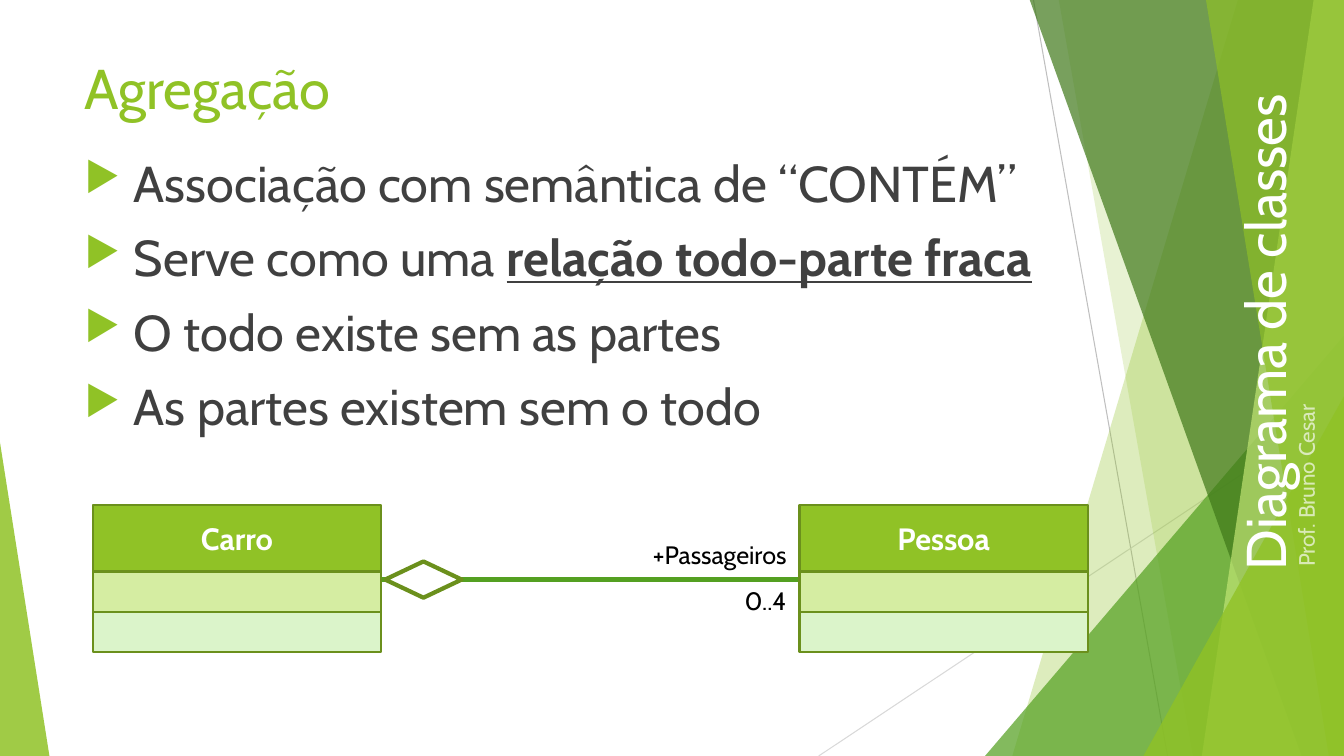
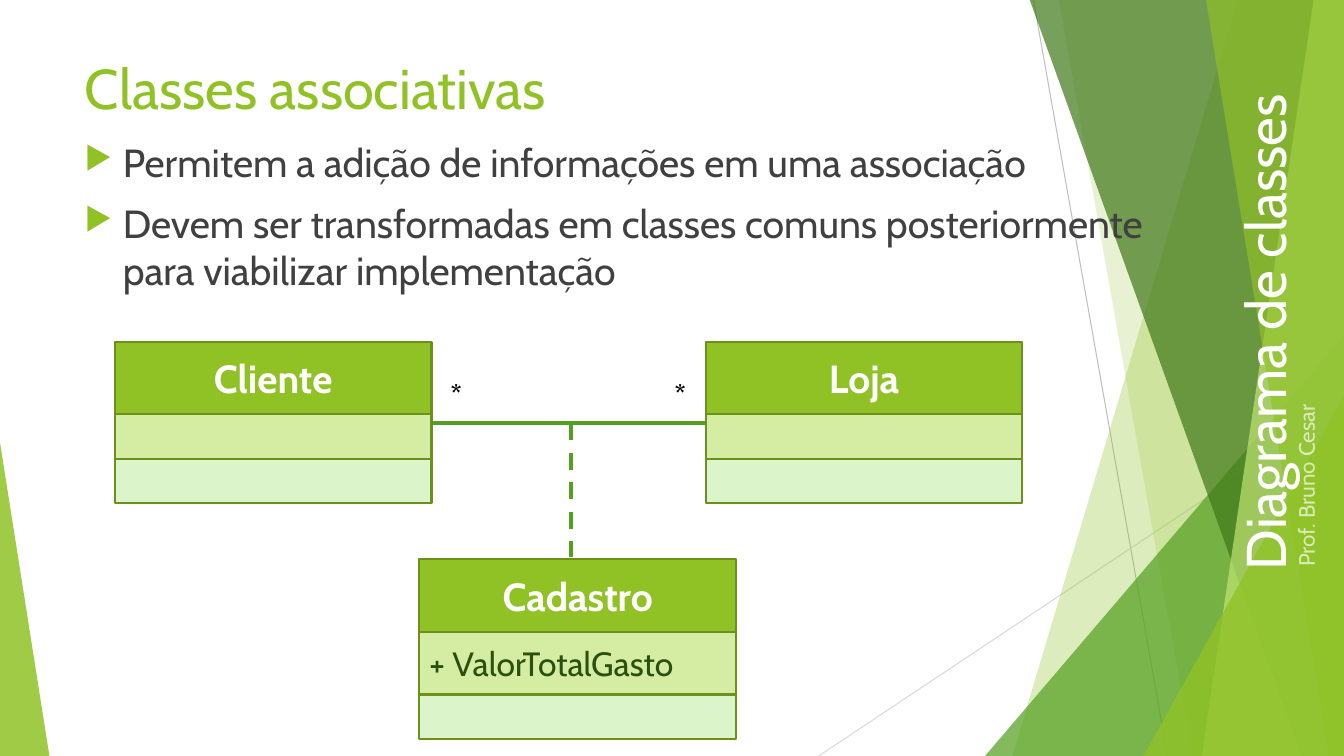
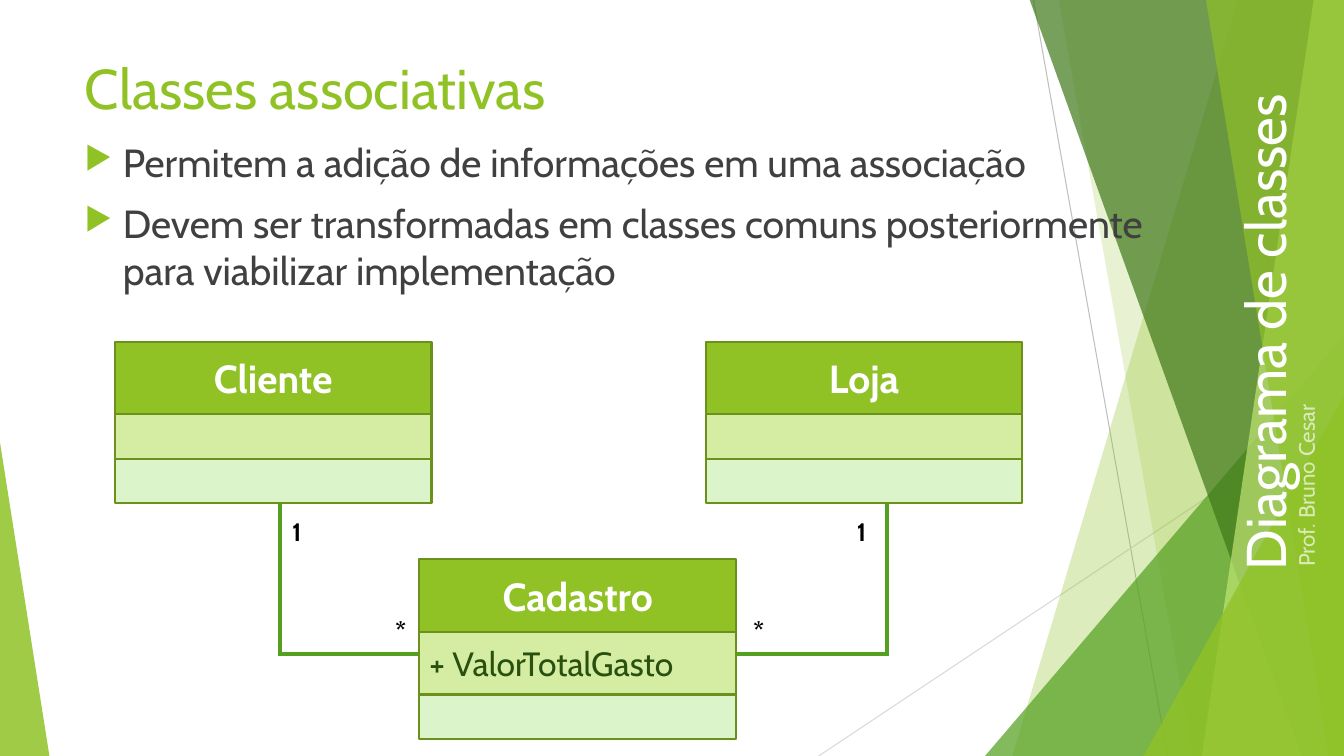
from dataclasses import dataclass

from lxml import etree
from pptx import Presentation
from pptx import util as u
from pptx.dml import color as colors
from pptx.enum import dml, shapes as kinds, text as texts
from pptx.oxml import ns

# Scale, palette and type
PX = 9144  # 100 px to the inch
WIDTH, HEIGHT = 1333, 750
FONT = "Cabin"
GREEN, DARK_GREEN, MID_GREEN = "90C226", "6B901C", "54A021"
FOREST, LIME, PALE_LIME, PALE_GREEN = "3F7819", "C0E474", "D5EDA2", "DBF4CA"
ATTRIBUTE_INK, INK, BLACK, WHITE = "2A5010", "404040", "000000", "FFFFFF"
LEFT, CENTER, RIGHT = (texts.PP_ALIGN.LEFT, texts.PP_ALIGN.CENTER,
                       texts.PP_ALIGN.RIGHT)


@dataclass(frozen=True)
class Box:
    left: int
    top: int
    width: int
    height: int

    def emu(self) -> tuple[int, ...]:
        return px(self.left, self.top, self.width, self.height)


@dataclass(frozen=True)
class Facet:
    """Band reaching the right edge, with a slanted left side."""
    top_x: int
    bottom_x: int
    color: str
    opacity: int


@dataclass(frozen=True)
class Triangle:
    box: Box
    apex: int
    color: str
    opacity: int


@dataclass(frozen=True)
class Line:
    start: tuple[int, int]
    end: tuple[int, int]
    color: str = MID_GREEN
    weight: float = 3
    dashed: bool = False


@dataclass(frozen=True)
class Bullet:
    text: str
    emphasis: str = ""


@dataclass(frozen=True)
class Label:
    text: str
    box: Box
    align: texts.PP_ALIGN = RIGHT
    bold: bool = True
    wrap: bool = False


@dataclass(frozen=True)
class UmlClass:
    name: str
    left: int
    top: int
    width: int = 314
    rows: tuple[int, int, int] = (72, 44, 44)
    size: int = 28
    attribute: str = ""


BACKDROP = (
    Line((1025, 0), (1158, HEIGHT), "BFBFBF", 0.75),
    Line((WIDTH, 403), (812, HEIGHT), "D9D9D9", 0.75),
    Facet(1228, 1004, GREEN, 30),
    Facet(1050, 1183, GREEN, 20),
    Triangle(Box(977, 333, 356, 417), 1, MID_GREEN, 72),
    Facet(1021, 1291, FOREST, 70),
    Facet(1303, 1192, LIME, 70),
    Facet(1196, 1318, GREEN, 65),
    Triangle(Box(1134, 393, 199, 357), 1, GREEN, 80),
    Triangle(Box(0, 439, 49, 311), 0, GREEN, 85),
)


# Helpers
def px(*lengths: int) -> tuple[int, ...]:
    return tuple(length * PX for length in lengths)


def rgb(value: str) -> colors.RGBColor:
    return colors.RGBColor.from_string(value)


def set_opacity(shape, percent: int) -> None:
    for color in shape.element.iter(ns.qn("a:srgbClr")):
        etree.SubElement(color, ns.qn("a:alpha"), val=str(percent * 1000))


def paint(shape, fill: str, line: str = "", weight: float = 1.5) -> None:
    shape.shadow.inherit = False
    shape.fill.solid()
    shape.fill.fore_color.rgb = rgb(fill)
    if line:
        shape.line.color.rgb = rgb(line)
        shape.line.width = u.Pt(weight)
    else:
        shape.line.fill.background()


def format_text(shape, size: int, color: str, align=LEFT, bold: bool = False,
                anchor=texts.MSO_ANCHOR.TOP) -> None:
    shape.text_frame.vertical_anchor = anchor
    for paragraph in shape.text_frame.paragraphs:
        paragraph.alignment = align
        for run in paragraph.runs:
            run.font.name = FONT
            run.font.size = u.Pt(size)
            run.font.bold = bold
            run.font.color.rgb = rgb(color)


def add_line(shapes, line: Line) -> None:
    connector = shapes.add_connector(kinds.MSO_CONNECTOR.STRAIGHT,
                                     *px(*line.start, *line.end))
    connector.line.color.rgb = rgb(line.color)
    connector.line.width = u.Pt(line.weight)
    if line.dashed:
        connector.line.dash_style = dml.MSO_LINE.DASH
    etree.SubElement(connector.element.spPr, ns.qn("a:effectLst"))


def add_text(shapes, content: str, box: Box, size: int, color: str,
             align=LEFT, bold: bool = False, wrap: bool = True):
    shape = shapes.add_textbox(*box.emu())
    shape.text_frame.word_wrap = wrap
    shape.text_frame.text = content
    format_text(shape, size, color, align, bold)
    return shape


# Shared backdrop, kept in the layout
def add_facet(shapes, facet: Facet) -> None:
    builder = shapes.build_freeform(*px(facet.top_x, -1))
    builder.add_line_segments([px(WIDTH, -1), px(WIDTH, HEIGHT),
                               px(facet.bottom_x, HEIGHT)], close=True)
    shape = builder.convert_to_shape()
    paint(shape, facet.color)
    set_opacity(shape, facet.opacity)


def add_triangle(shapes, triangle: Triangle) -> None:
    shape = shapes.add_shape(kinds.MSO_SHAPE.ISOSCELES_TRIANGLE,
                             *triangle.box.emu())
    shape.adjustments[0] = triangle.apex
    paint(shape, triangle.color)
    set_opacity(shape, triangle.opacity)


def add_backdrop(slide) -> None:
    layout = slide.slide_layout
    for placeholder in list(layout.placeholders):
        if placeholder.placeholder_format.type != kinds.PP_PLACEHOLDER.TITLE:
            placeholder.element.getparent().remove(placeholder.element)
    group = slide.shapes.add_group_shape()
    draw = {Line: add_line, Facet: add_facet, Triangle: add_triangle}
    for part in BACKDROP:
        draw[type(part)](group.shapes, part)
    layout.element.cSld.spTree.append(group.element)


# Slide parts
def add_frame(slide, title: str) -> None:
    heading = slide.shapes.title
    heading.left, heading.top, heading.width, heading.height = Box(
        74, 48, 940, 93).emu()
    heading.text_frame.text = title
    heading.text_frame.auto_size = texts.MSO_AUTO_SIZE.NONE
    format_text(heading, 40, GREEN)
    subject = add_text(slide.shapes, "Diagrama de classes",
                       Box(984, 267, 540, 77), 40, WHITE)
    author = add_text(slide.shapes, "Prof. Bruno Cesar",
                      Box(1180, 430, 239, 45), 16, WHITE)
    set_opacity(author, 65)
    for shape in (subject, author):
        shape.rotation = 270


def add_bullets(slide, bullets: tuple[Bullet, ...], box: Box, size: int,
                indent: int) -> None:
    shape = add_text(slide.shapes, "\n".join(b.text for b in bullets),
                     box, size, INK)
    for paragraph, bullet in zip(shape.text_frame.paragraphs, bullets):
        paragraph.space_before = u.Pt(10)
        if bullet.emphasis:
            paragraph.add_run().text = bullet.emphasis
        properties = paragraph._p.get_or_add_pPr()
        properties.set("marL", str(indent * PX))
        properties.set("indent", str(-indent * PX))
        color = etree.SubElement(properties, ns.qn("a:buClr"))
        etree.SubElement(color, ns.qn("a:srgbClr"), val=GREEN)
        etree.SubElement(properties, ns.qn("a:buSzPct"), val="80000")
        etree.SubElement(properties, ns.qn("a:buChar"), char="▶")
    format_text(shape, size, INK)
    for paragraph, bullet in zip(shape.text_frame.paragraphs, bullets):
        if bullet.emphasis:
            paragraph.runs[-1].font.bold = True
            paragraph.runs[-1].font.underline = True


def add_class(slide, uml: UmlClass) -> None:
    group = slide.shapes.add_group_shape()
    top = uml.top
    cells = []
    for height, fill in zip(uml.rows, (GREEN, PALE_LIME, PALE_GREEN)):
        cell = group.shapes.add_shape(
            kinds.MSO_SHAPE.RECTANGLE,
            *px(uml.left, top, uml.width, height))
        paint(cell, fill, DARK_GREEN)
        cells.append(cell)
        top += height
    header, attributes, _ = cells
    header.text_frame.text = uml.name
    format_text(header, uml.size, WHITE, CENTER, True, texts.MSO_ANCHOR.MIDDLE)
    if uml.attribute:
        attributes.text_frame.text = uml.attribute
        format_text(attributes, 24, ATTRIBUTE_INK,
                    anchor=texts.MSO_ANCHOR.MIDDLE)


def add_diagram(slide, lines: tuple[Line, ...], classes: tuple[UmlClass, ...],
                labels: tuple[Label, ...]) -> None:
    for line in lines:
        add_line(slide.shapes, line)
    for uml in classes:
        add_class(slide, uml)
    for label in labels:
        shape = add_text(slide.shapes, label.text, label.box, 18, BLACK,
                         label.align, label.bold, label.wrap)
        shape.text_frame.auto_size = texts.MSO_AUTO_SIZE.SHAPE_TO_FIT_TEXT


# Slides
def build_aggregation(slide) -> None:
    add_frame(slide, "Agregação")
    add_bullets(slide, (
        Bullet("Associação com semântica de “CONTÉM”"),
        Bullet("Serve como uma ", "relação todo-parte fraca"),
        Bullet("O todo existe sem as partes"),
        Bullet("As partes existem sem o todo"),
    ), Box(74, 146, 1097, 347), 36, 49)
    small = {"top": 501, "width": 286, "rows": (66, 40, 40), "size": 22}
    add_diagram(
        slide,
        (Line((362, 575), (800, 575)),),
        (UmlClass("Carro", 92, **small), UmlClass("Pessoa", 793, **small)),
        (Label("0..4", Box(725, 576, 65, 40), bold=False),
         Label("+Passageiros", Box(594, 530, 196, 40), bold=False, wrap=True)))
    diamond = slide.shapes.add_shape(kinds.MSO_SHAPE.FLOWCHART_DECISION,
                                     *Box(382, 557, 76, 36).emu())
    paint(diamond, WHITE, DARK_GREEN, 3)


def build_association(slide, lines: tuple[Line, ...],
                      labels: tuple[Label, ...]) -> None:
    add_frame(slide, "Classes associativas")
    add_bullets(slide, (
        Bullet("Permitem a adição de informações em uma associação"),
        Bullet("Devem ser transformadas em classes comuns posteriormente "
               "para viabilizar implementação"),
    ), Box(74, 132, 1097, 185), 28, 38)
    add_diagram(slide, lines, (
        UmlClass("Cliente", 114, 339),
        UmlClass("Loja", 700, 339),
        UmlClass("Cadastro", 416, 555, rows=(72, 62, 44),
                 attribute="+ ValorTotalGasto"),
    ), labels)


def main() -> None:
    presentation = Presentation()
    presentation.slide_width, presentation.slide_height = px(WIDTH, HEIGHT)
    title_only = presentation.slide_layouts[5]
    aggregation, association, resolved = (
        presentation.slides.add_slide(title_only) for _ in range(3))
    add_backdrop(aggregation)

    build_aggregation(aggregation)
    build_association(
        association,
        (Line((410, 420), (891, 420)),
         Line((566, 420), (566, 553), dashed=True)),
        (Label("*", Box(437, 370, 31, 40), LEFT),
         Label("*", Box(659, 370, 31, 40))))
    build_association(
        resolved,
        (Line((276, 649), (880, 649)),
         *(Line((x, 482), (x, 651)) for x in (278, 880))),
        (*(Label("1", Box(x, 507, 35, 40), LEFT) for x in (280, 840)),
         *(Label("*", Box(x, 606, 31, 40)) for x in (382, 737))))
    presentation.save("out.pptx")


if __name__ == "__main__":
    main()
